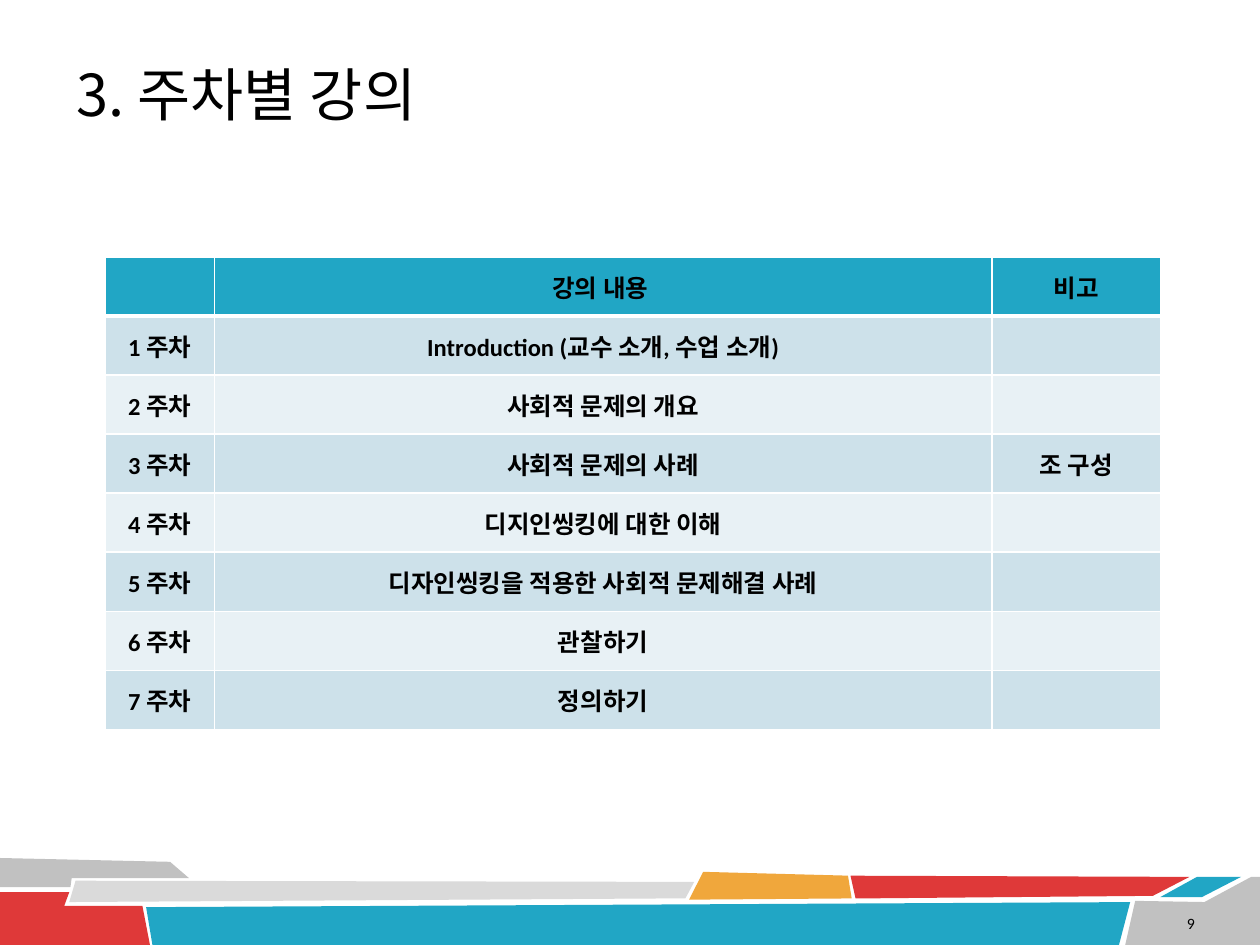
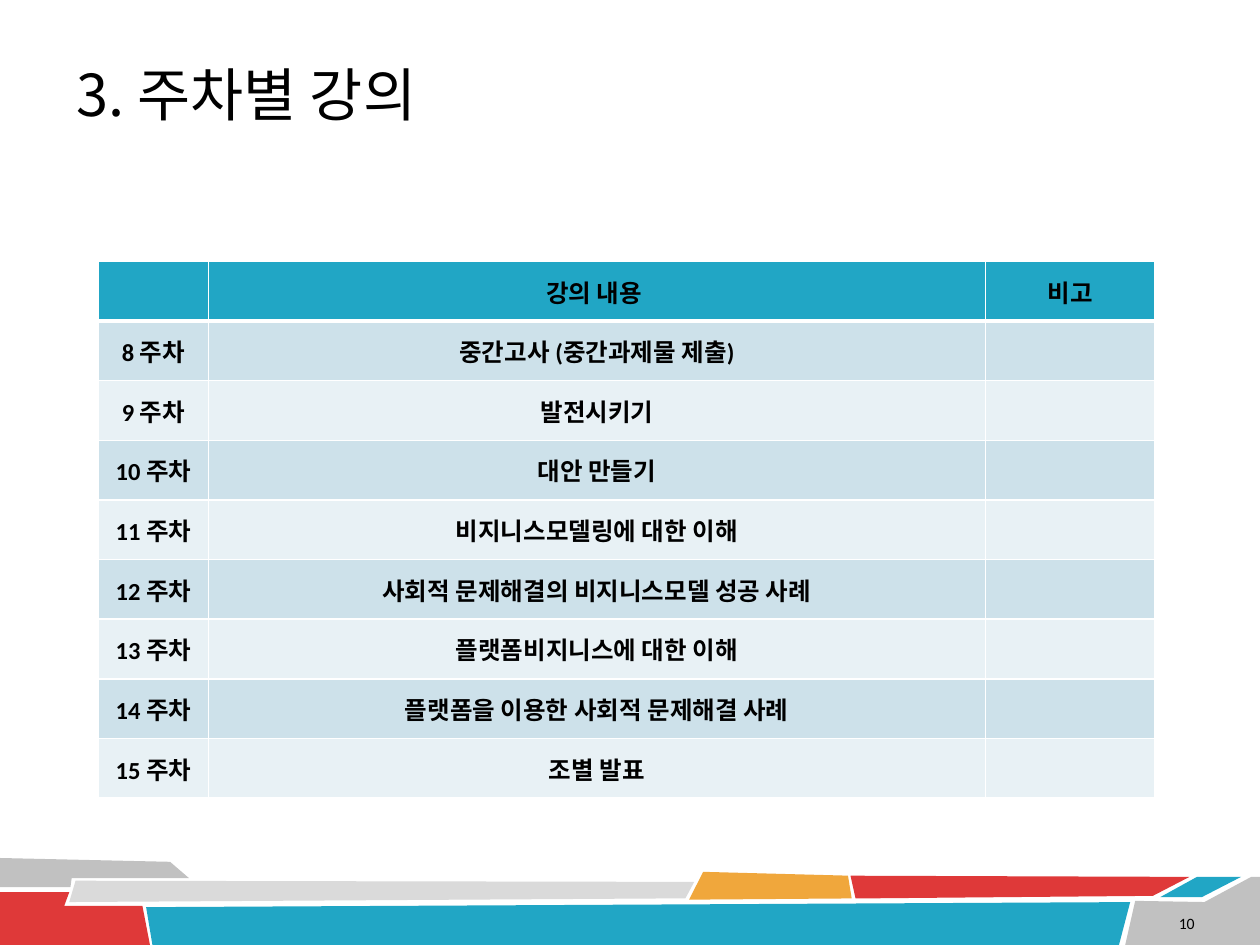
from dataclasses import dataclass
from typing import Any

from lxml import etree
from pptx import Presentation
from pptx.dml.color import RGBColor
from pptx.enum.text import MSO_ANCHOR, PP_ALIGN
from pptx.oxml.ns import qn
from pptx.util import Pt

LEFT, CENTER, RIGHT = PP_ALIGN.LEFT, PP_ALIGN.CENTER, PP_ALIGN.RIGHT
MIDDLE = MSO_ANCHOR.MIDDLE

BLACK = RGBColor(0x00, 0x00, 0x00)
WHITE = RGBColor(0xFF, 0xFF, 0xFF)
TEAL = RGBColor(0x21, 0xA6, 0xC5)
RED = RGBColor(0xDF, 0x39, 0x39)
AMBER = RGBColor(0xF0, 0xA7, 0x3C)
GREY = RGBColor(0xC1, 0xC1, 0xC1)
PALE_GREY = RGBColor(0xDA, 0xDA, 0xDA)
ROW_FILLS = (RGBColor(0xCD, 0xE1, 0xEA), RGBColor(0xE8, 0xF1, 0xF5))

KOREAN_FONT = "Noto Sans CJK KR"
TITLE_FORMAT = {"size": Pt(33), "name": KOREAN_FONT}
CELL_FORMAT = {"size": Pt(14), "name": "Calibri", "bold": True}
NUMBER_FORMAT = {"size": Pt(9), "name": "Calibri"}

TITLE = "3. 주차별 강의"
HEADINGS = ("", "강의 내용 ", "비고")
COLUMN_WIDTHS = (62.64, 444.24, 96.48)
CELL_LAYOUT = {
    "margin_left": Pt(5), "margin_right": Pt(5),
    "margin_top": Pt(2.9), "margin_bottom": Pt(2.9),
    "vertical_anchor": MIDDLE,
}


@dataclass(frozen=True)
class Band:
    color: RGBColor
    points: tuple[tuple[float, float], ...]


@dataclass(frozen=True)
class Schedule:
    page_number: int
    left: float
    top: float
    row_height: float
    first_week: int
    topics: tuple[str, ...]
    remarks: dict[int, str]


# Footer bands, from back to front, in points
BANDS = (
    Band(GREY, ((0, 490.3), (97.2, 492.5), (108, 501.8), (41, 501.8), (40.3, 506.9), (0, 506.9))),
    Band(RED, ((0, 509.8), (39.6, 509.8), (36.7, 517.7), (81.4, 517.7), (85.7, 540), (0, 540))),
    Band(PALE_GREY, ((43.2, 503.3), (396.7, 504), (391.7, 513.4), (39.6, 515.5))),
    Band(TEAL, ((83.5, 518.4), (645.8, 515.5), (639.4, 540), (87.1, 540))),
    Band(AMBER, ((401.8, 498.2), (484.6, 500.4), (486.7, 513.4), (393.8, 514.1))),
    Band(RED, ((486, 500.4), (679.7, 501.1), (658.8, 511.9), (488.9, 513.4))),
    Band(TEAL, ((684, 501.1), (709.2, 501.1), (686.9, 512.6), (663.1, 512.6))),
    Band(GREY, ((648.7, 514.8), (688.3, 515.5), (715, 501.1), (720, 501.1), (720, 540), (643, 540))),
)

SCHEDULES = (
    Schedule(9, 59.9, 146.9, 33.75, 1, (
        "Introduction (교수 소개, 수업 소개)",
        "사회적 문제의 개요",
        "사회적 문제의 사례",
        "디지인씽킹에 대한 이해",
        "디자인씽킹을 적용한 사회적 문제해결 사례",
        "관찰하기",
        "정의하기",
    ), {3: "조 구성"}),
    Schedule(10, 56.4, 149.4, 34.08, 8, (
        "중간고사 (중간과제물 제출)",
        "발전시키기",
        "대안 만들기",
        "비지니스모델링에 대한 이해",
        "사회적 문제해결의 비지니스모델 성공 사례",
        "플랫폼비지니스에 대한 이해",
        "플랫폼을 이용한 사회적 문제해결 사례",
        "조별 발표",
    ), {}),
)


def write_text(frame: Any, text: str, text_format: dict[str, Any], align: Any) -> None:
    para = frame.paragraphs[0]
    para.alignment = align
    span = para.add_run()
    span.text = text
    for name, value in text_format.items():
        setattr(span.font, name, value)
    span.font.color.rgb = BLACK
    east_asian = etree.SubElement(span.font._element, qn("a:ea"))
    east_asian.set("typeface", KOREAN_FONT)


def add_label(page: Any, place: tuple[float, ...], text: str,
              text_format: dict[str, Any], align: Any) -> None:
    box = page.shapes.add_textbox(*map(Pt, place))
    box.text_frame.word_wrap = True
    box.text_frame.vertical_anchor = MIDDLE
    write_text(box.text_frame, text, text_format, align)


def add_band(page: Any, band: Band) -> None:
    corners = [(Pt(x), Pt(y)) for x, y in band.points]
    builder = page.shapes.build_freeform(*corners[0])
    builder.add_line_segments(corners[1:], close=True)
    shape = builder.convert_to_shape()
    shape.shadow.inherit = False
    shape.fill.solid()
    shape.fill.fore_color.rgb = band.color
    shape.line.fill.background()


def set_borders(cell: Any, top: float, bottom: float) -> None:
    properties = cell._tc.get_or_add_tcPr()
    widths = {"a:lnL": 1, "a:lnR": 1, "a:lnT": top, "a:lnB": bottom}
    # Border lines must come before the cell's fill
    for position, (tag, width) in enumerate(widths.items()):
        line = etree.Element(qn(tag), w=str(Pt(width)))
        fill = etree.SubElement(line, qn("a:solidFill"))
        etree.SubElement(fill, qn("a:srgbClr"), val=str(WHITE))
        properties.insert(position, line)


def add_schedule(page: Any, schedule: Schedule) -> None:
    rows = [HEADINGS]
    for week, topic in enumerate(schedule.topics, schedule.first_week):
        rows.append((f"{week} 주차", topic, schedule.remarks.get(week, "")))
    table = page.shapes.add_table(
        len(rows), len(HEADINGS), Pt(schedule.left), Pt(schedule.top),
        Pt(sum(COLUMN_WIDTHS)), Pt(schedule.row_height * len(rows))).table
    for column, width in zip(table.columns, COLUMN_WIDTHS):
        column.width = Pt(width)
    for row_index, texts in enumerate(rows):
        table.rows[row_index].height = Pt(schedule.row_height)
        color = ROW_FILLS[(row_index - 1) % 2] if row_index else TEAL
        for column_index, text in enumerate(texts):
            cell = table.cell(row_index, column_index)
            for name, value in CELL_LAYOUT.items():
                setattr(cell, name, value)
            cell.fill.solid()
            cell.fill.fore_color.rgb = color
            set_borders(cell, top=3 if row_index == 1 else 1,
                        bottom=3 if row_index == 0 else 1)
            if text:
                write_text(cell.text_frame, text, CELL_FORMAT, CENTER)


def add_page(deck: Any, schedule: Schedule) -> None:
    page = deck.slides.add_slide(deck.slide_layouts[6])
    for band in BANDS:
        add_band(page, band)
    add_label(page, (36.7, 8.6, 685.4, 90), TITLE, TITLE_FORMAT, LEFT)
    add_schedule(page, schedule)
    add_label(page, (653.8, 518.4, 36, 18), str(schedule.page_number), NUMBER_FORMAT, RIGHT)


def main() -> None:
    deck = Presentation()
    deck.slide_width, deck.slide_height = Pt(720), Pt(540)
    for schedule in SCHEDULES:
        add_page(deck, schedule)
    deck.save("out.pptx")


if __name__ == "__main__":
    main()
